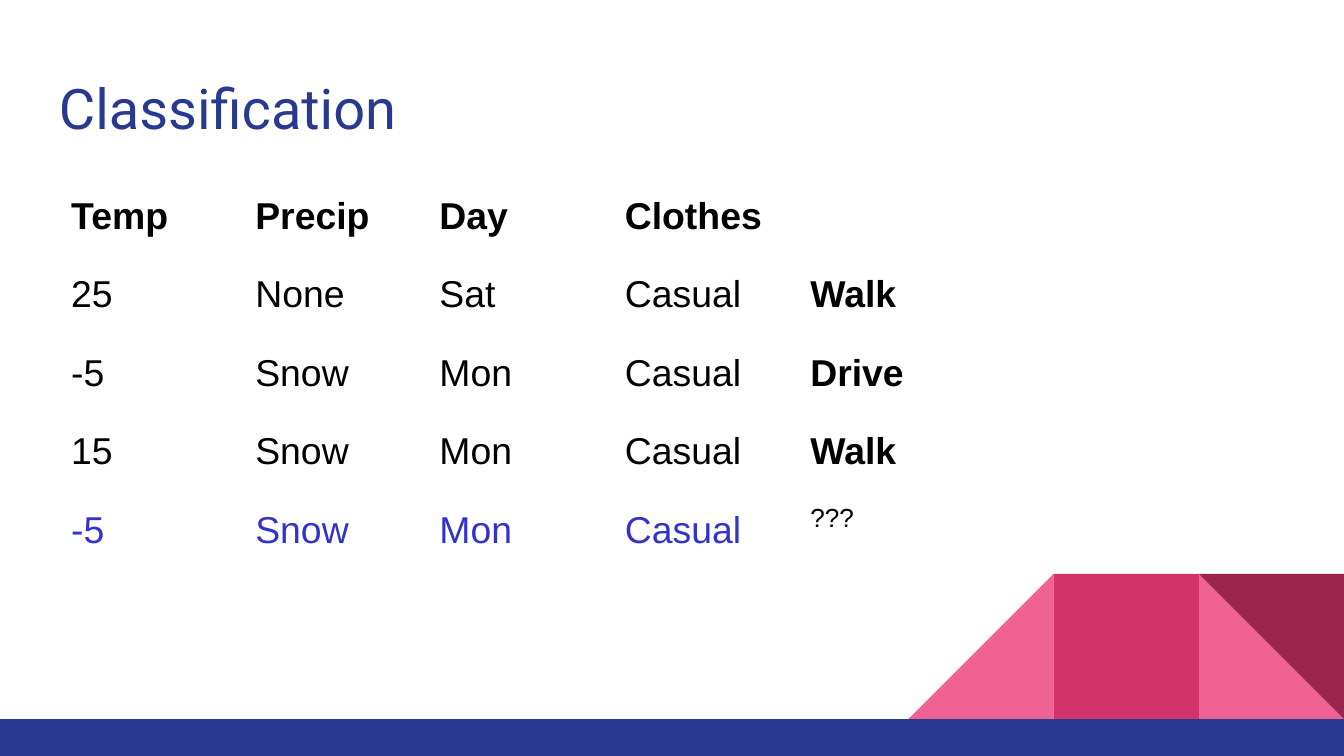
from typing import NamedTuple

from pptx import Presentation, util as u
from pptx.dml.color import RGBColor
from pptx.enum import shapes, text

WIDE = 10
HIGH = WIDE * 9 / 16
SIDE = 1.08          # side of one corner tile
FLOOR = 5.35         # top edge of the bottom bar
NAVY, PINK, ROSE, WINE = "2A3990", "F06292", "D23369", "9C254D"
BLACK, BLUE = "000000", "3333CC"
KIND = shapes.MSO_SHAPE


class Tile(NamedTuple):
    kind: int
    back: int            # tiles counted from the right edge
    fill: str
    flip: bool = False
    turn: int = 0


class Style(NamedTuple):
    size: int
    color: str
    bold: bool = False
    font: str = "Arial"
    lead: float = 1.15


TILES = [
    Tile(KIND.RIGHT_TRIANGLE, 1, PINK),
    Tile(KIND.RIGHT_TRIANGLE, 3, PINK, flip=True),
    Tile(KIND.RECTANGLE, 2, ROSE),
    Tile(KIND.RIGHT_TRIANGLE, 1, WINE, turn=180),
]
ROWS = [
    ("Temp", "Precip", "Day", "Clothes", ""),
    ("25", "None", "Sat", "Casual", "Walk"),
    ("-5", "Snow", "Mon", "Casual", "Drive"),
    ("15", "Snow", "Mon", "Casual", "Walk"),
    ("-5", "Snow", "Mon", "Casual", "???"),
]
COLS = [1.37, 1.37, 1.38, 1.38, 1.38]
PITCH = 0.46         # least row height; rows grow with their text


def paint(fill, color: str) -> None:
    fill.solid()
    fill.fore_color.rgb = RGBColor.from_string(color)


def block(slide, kind: int, box: tuple, color: str):
    shape = slide.shapes.add_shape(kind, *map(u.Inches, box))
    shape.shadow.inherit = False
    paint(shape.fill, color)
    shape.line.fill.background()
    return shape


def tile(slide, part: Tile) -> None:
    box = (WIDE - part.back * SIDE, FLOOR - SIDE, SIDE, SIDE)
    shape = block(slide, part.kind, box, part.fill)
    shape.rotation = part.turn
    if part.flip:
        shape._element.spPr.xfrm.set("flipH", "1")


def write(frame, words: str, style: Style) -> None:
    para = frame.paragraphs[0]
    para.line_spacing = style.lead
    run = para.add_run()
    run.text = words
    run.font.name = style.font
    run.font.size = u.Pt(style.size)
    run.font.bold = style.bold
    run.font.color.rgb = RGBColor.from_string(style.color)


def pad(item) -> None:
    item.margin_left = item.margin_right = u.Inches(0.1)
    item.margin_top = item.margin_bottom = u.Inches(0.1)


def choose(row: int, col: int) -> Style:
    """Bold header and answers, blue query row, small open answer."""
    last = row == len(ROWS) - 1
    answer = col == len(COLS) - 1
    if last and answer:
        return Style(14, BLACK, lead=1.0)
    return Style(20, BLUE if last else BLACK, bold=row == 0 or answer)


def grid(slide) -> None:
    box = (0.43, 1.31, 6.87, 2.92)
    table = slide.shapes.add_table(
        len(ROWS), len(COLS), *map(u.Inches, box)).table
    table.first_row = table.horz_banding = False
    for col, width in zip(table.columns, COLS):
        col.width = u.Inches(width)
    for r, row in enumerate(ROWS):
        table.rows[r].height = u.Inches(PITCH)
        for c, words in enumerate(row):
            cell = table.cell(r, c)
            cell.fill.background()
            pad(cell)
            if words:
                write(cell.text_frame, words, choose(r, c))


def main() -> None:
    deck = Presentation()
    deck.slide_width, deck.slide_height = u.Inches(WIDE), u.Inches(HIGH)
    slide = deck.slides.add_slide(deck.slide_layouts[6])
    paint(slide.background.fill, "FFFFFF")

    # Corner tiles and bottom bar
    for part in TILES:
        tile(slide, part)
    block(slide, KIND.RECTANGLE, (0, FLOOR, WIDE, HIGH - FLOOR), NAVY)

    # Title
    box = (0.34, 0.45, 9.32, 0.66)
    frame = slide.shapes.add_textbox(*map(u.Inches, box)).text_frame
    frame.word_wrap = True
    frame.vertical_anchor = text.MSO_ANCHOR.TOP
    pad(frame)
    write(frame, "Classification", Style(30, NAVY, font="Roboto", lead=1.0))

    # Training examples and the query
    grid(slide)
    deck.save("out.pptx")


if __name__ == "__main__":
    main()
